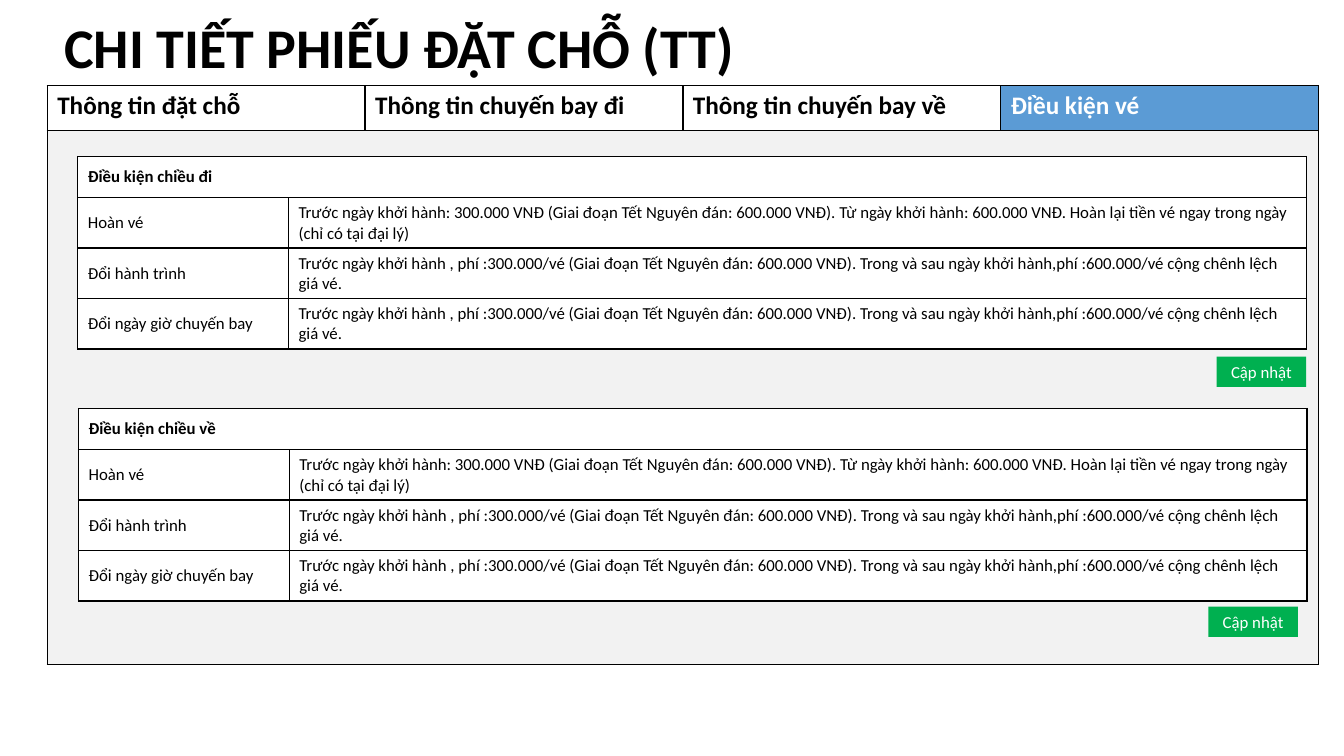
import dataclasses
import typing

import lxml.etree
import pptx
import pptx.dml.color
import pptx.enum.shapes
import pptx.enum.text
import pptx.oxml.ns
import pptx.util

Cm = pptx.util.Cm
RGB = pptx.dml.color.RGBColor
MID = pptx.enum.text.MSO_ANCHOR.MIDDLE
TOP = pptx.enum.text.MSO_ANCHOR.TOP
CENTER = pptx.enum.text.PP_ALIGN.CENTER

BLACK = RGB(0x00, 0x00, 0x00)
WHITE = RGB(0xFF, 0xFF, 0xFF)
BLUE = RGB(0x5B, 0x9B, 0xD5)
GREY = RGB(0xF2, 0xF2, 0xF2)
GREEN = RGB(0x00, 0xB0, 0x50)

CHANGE = ("Trước ngày khởi hành , phí :300.000/vé (Giai đoạn Tết Nguyên đán: 600.000 VNĐ). "
          "Trong và sau ngày khởi hành,phí :600.000/vé cộng chênh lệch giá vé.")
REFUND = ("Trước ngày khởi hành: 300.000 VNĐ (Giai đoạn Tết Nguyên đán: 600.000 VNĐ). "
          "Từ ngày khởi hành: 600.000 VNĐ. Hoàn lại tiền vé ngay trong ngày (chỉ có tại đại lý)")
RULES = [("Hoàn vé", REFUND), ("Đổi hành trình", CHANGE), ("Đổi ngày giờ chuyến bay", CHANGE)]
TABS = ["Thông tin đặt chỗ", "Thông tin chuyến bay đi", "Thông tin chuyến bay về", "Điều kiện vé"]


@dataclasses.dataclass
class Block:
    head: str
    left: float
    top: float
    btn_left: float
    btn_top: float


BLOCKS = [
    Block("Điều kiện chiều đi", 1.96, 3.94, 30.66, 8.99),
    Block("Điều kiện chiều về", 1.98, 10.29, 30.45, 15.29),
]


def write(frame: typing.Any, text: str, size: float, color: RGB = BLACK, bold: bool = False) -> None:
    frame.word_wrap = True
    run = frame.paragraphs[0].add_run()
    run.text = text
    style = {"name": "Calibri", "size": pptx.util.Pt(size), "bold": bold}
    for key, value in style.items():
        setattr(run.font, key, value)
    run.font.color.rgb = color


def paint(cell: typing.Any, color: RGB) -> None:
    cell.fill.solid()
    cell.fill.fore_color.rgb = color
    props = cell._tc.get_or_add_tcPr()
    qn = pptx.oxml.ns.qn
    for index, side in enumerate("LRTB"):
        line = lxml.etree.Element(qn(f"a:ln{side}"), w=str(pptx.util.Pt(1)))
        solid = lxml.etree.SubElement(line, qn("a:solidFill"))
        lxml.etree.SubElement(solid, qn("a:srgbClr"), val=str(BLACK))
        props.insert(index, line)


def add_grid(shapes: typing.Any, left: float, top: float, cols: list[float],
             rows: list[float], color: RGB) -> typing.Any:
    grid = shapes.add_table(len(rows), len(cols), Cm(left), Cm(top), Cm(sum(cols)), Cm(sum(rows))).table
    for key in ("first_row", "horz_banding"):
        setattr(grid, key, False)
    for col, width in zip(grid.columns, cols):
        col.width = Cm(width)
    for row, height in zip(grid.rows, rows):
        row.height = Cm(height)
    for cell in grid.iter_cells():
        paint(cell, color)
    return grid


def add_tabs(shapes: typing.Any) -> None:
    grid = add_grid(shapes, 1.19, 2.16, [8.01] * len(TABS), [1.12, 13.46], GREY)
    grid.cell(1, 0).merge(grid.cell(1, len(TABS) - 1))
    for index, text in enumerate(TABS):
        live = index == len(TABS) - 1
        cell = grid.cell(0, index)
        cell.fill.fore_color.rgb = BLUE if live else WHITE
        write(cell.text_frame, text, 18, WHITE if live else BLACK, True)


def add_block(shapes: typing.Any, block: Block) -> None:
    grid = add_grid(shapes, block.left, block.top, [5.31, 25.65], [1.04] + [1.27] * len(RULES), WHITE)
    head = grid.cell(0, 0)
    head.merge(grid.cell(0, 1))
    head.vertical_anchor = MID
    write(head.text_frame, block.head, 12, bold=True)
    for row, texts in enumerate(RULES, 1):
        for col, (text, anchor) in enumerate(zip(texts, (MID, TOP))):
            cell = grid.cell(row, col)
            cell.vertical_anchor = anchor
            write(cell.text_frame, text, 12)


def add_button(shapes: typing.Any, block: Block) -> None:
    shape = shapes.add_shape(pptx.enum.shapes.MSO_SHAPE.RECTANGLE,
                             Cm(block.btn_left), Cm(block.btn_top), Cm(2.26), Cm(0.76))
    shape.shadow.inherit = False
    shape.fill.solid()
    shape.fill.fore_color.rgb = GREEN
    shape.line.fill.background()
    shape.text_frame.vertical_anchor = MID
    write(shape.text_frame, "Cập nhật", 12, WHITE)
    shape.text_frame.paragraphs[0].alignment = CENTER


def main() -> None:
    deck = pptx.Presentation()
    size = {"slide_width": Cm(33.87), "slide_height": Cm(19.05)}
    for key, value in size.items():
        setattr(deck, key, value)
    shapes = deck.slides.add_slide(deck.slide_layouts[6]).shapes
    add_tabs(shapes)
    title = shapes.add_textbox(Cm(1.37), Cm(0.2), Cm(30.45), Cm(1.96))
    write(title.text_frame, "CHI TIẾT PHIẾU ĐẶT CHỖ (TT)", 40, bold=True)
    for block in BLOCKS:
        add_block(shapes, block)
        add_button(shapes, block)
    deck.save("out.pptx")


main()
